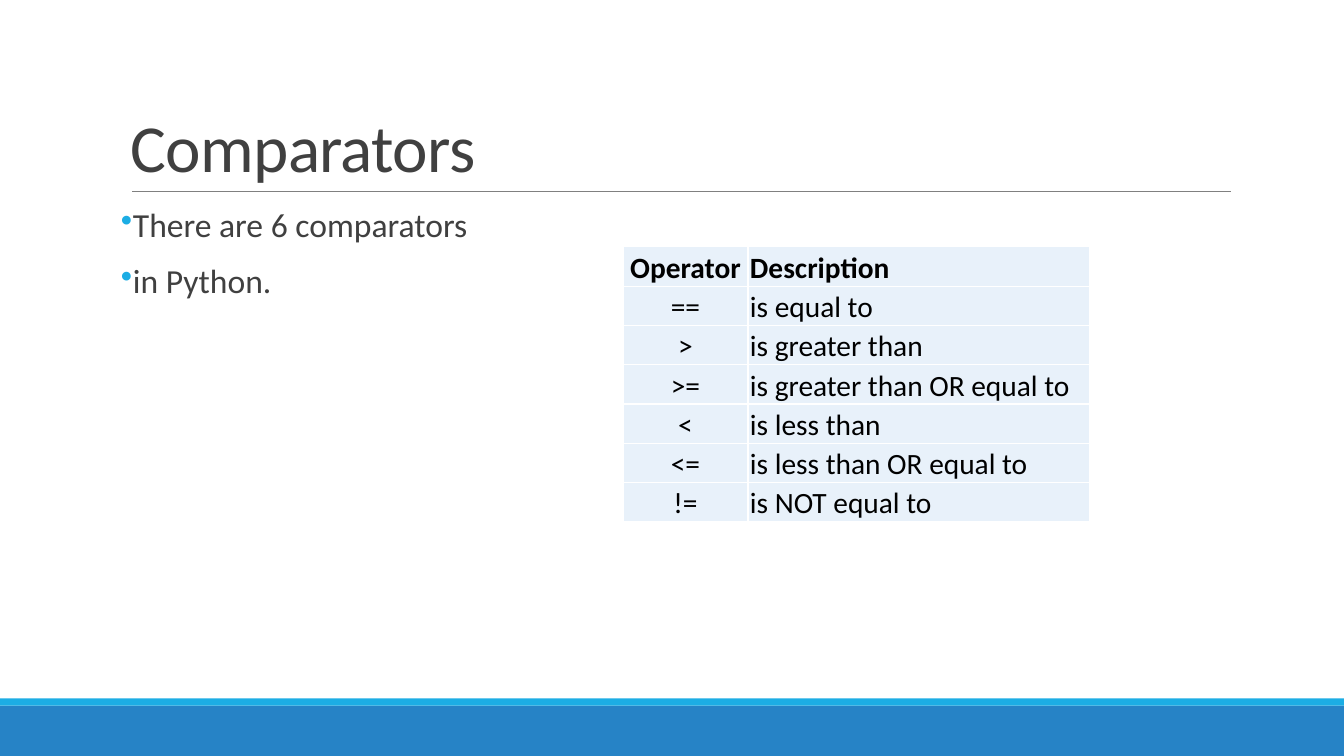
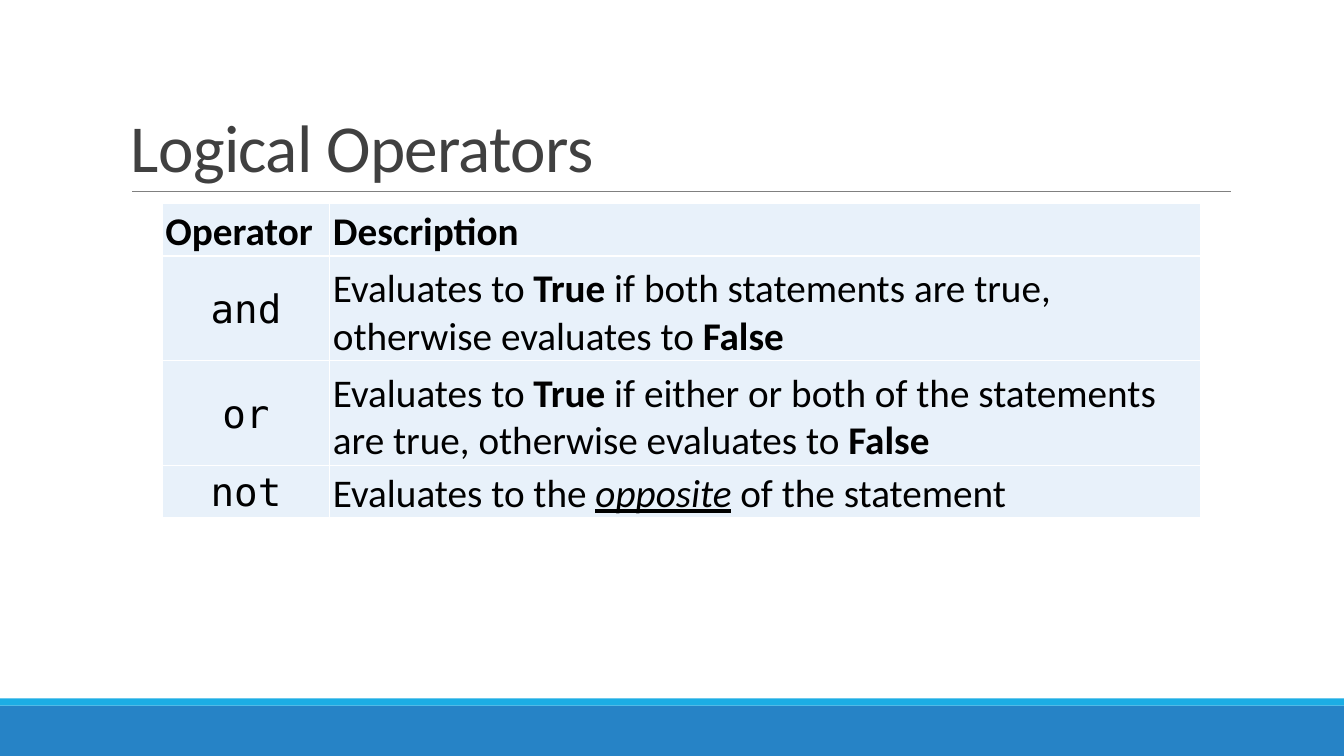
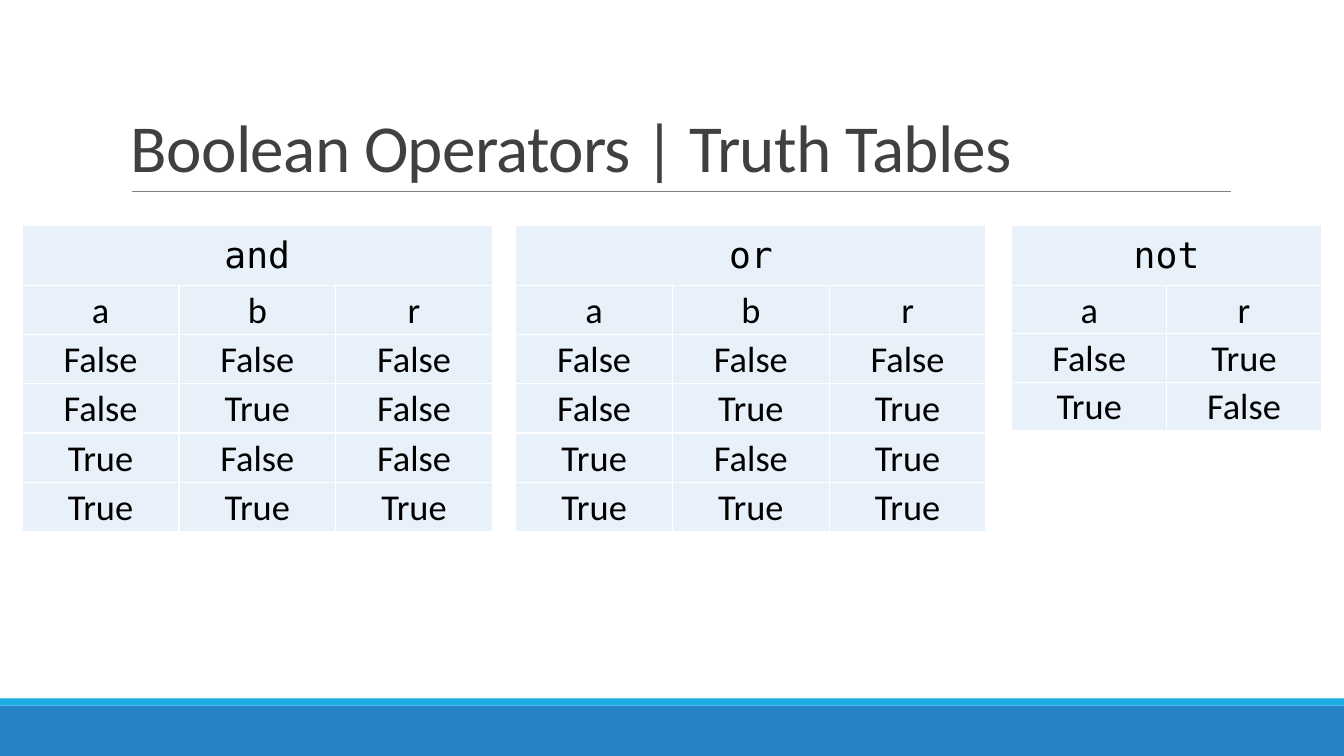
from itertools import product
from lxml.etree import SubElement
from pptx import Presentation
from pptx.dml.color import RGBColor
from pptx.enum.shapes import MSO_CONNECTOR, MSO_SHAPE
from pptx.enum.text import MSO_ANCHOR, PP_ALIGN
from pptx.oxml.ns import qn
from pptx.util import Cm, Pt

INK = {
    "base": "2683C6",
    "edge": "1CADE4",
    "rule": "808080",
    "text": "404040",
    "cell": "E8F1FA",
    "grid": "FFFFFF",
    "dark": "000000",
}
SANS, MONO = "Calibri", "DejaVu Sans Mono"
WIDE, HIGH = 33.87, 19.05
LEFT, SPAN = 3.05, 27.94


def tint(name):
    return RGBColor.from_string(INK[name])


def style(font, size, color, face=SANS, bold=False):
    font.size, font.name, font.bold = Pt(size), face, bold
    font.color.rgb = tint(color)


# Shared frame: bands, rule and title
def band(slide, top, high, color):
    bar = slide.shapes.add_shape(
        MSO_SHAPE.RECTANGLE, 0, Cm(top), Cm(WIDE), Cm(high))
    bar.shadow.inherit = False
    bar.fill.solid()
    bar.fill.fore_color.rgb = tint(color)
    bar.line.fill.background()


def rule(slide, start, end, y):
    line = slide.shapes.add_connector(
        MSO_CONNECTOR.STRAIGHT, Cm(start), Cm(y), Cm(end), Cm(y))
    line.line.color.rgb = tint("rule")
    line.line.width = Pt(0.5)
    SubElement(line._element.spPr, qn("a:effectLst"))


def box(slide, top, high):
    frame = slide.shapes.add_textbox(
        Cm(LEFT), Cm(top), Cm(SPAN), Cm(high)).text_frame
    frame.word_wrap = True
    return frame


def page(deck, title):
    slide = deck.slides.add_slide(deck.slide_layouts[6])
    band(slide, 17.78, 1.27, "base")
    band(slide, 17.6, 0.18, "edge")
    rule(slide, 3.33, 31.01, 4.83)
    frame = box(slide, 0.79, 4.04)
    frame.vertical_anchor = MSO_ANCHOR.BOTTOM
    para = frame.paragraphs[0]
    para.line_spacing = 0.85
    style(para.font, 48, "text")
    run = para.add_run()
    run.text = title
    run._r.get_or_add_rPr().set("spc", "-50")
    return slide


# Bullet list
def bullet(para):
    props = para._p.get_or_add_pPr()
    props.set("marL", str(Cm(0.25)))
    props.set("indent", str(Cm(-0.25)))
    color = SubElement(props, qn("a:buClr"))
    SubElement(color, qn("a:srgbClr"), val=INK["edge"])
    SubElement(props, qn("a:buChar"), char="•")


def points(slide, lines):
    frame = box(slide, 5.13, 11.18)
    frame.margin_left = frame.margin_right = 0
    for i, text in enumerate(lines):
        para = frame.add_paragraph() if i else frame.paragraphs[0]
        para.text = text
        para.line_spacing = 0.9
        para.space_before, para.space_after = Pt(12), Pt(2)
        bullet(para)
        style(para.font, 24, "text")


# Tables
def border(cell):
    props = cell._tc.get_or_add_tcPr()
    for side in ("lnL", "lnR", "lnT", "lnB"):
        line = SubElement(props, qn("a:" + side), w=str(Pt(1)))
        fill = SubElement(line, qn("a:solidFill"))
        SubElement(fill, qn("a:srgbClr"), val=INK["grid"])


def write(cell, parts, size, mid=False, center=False, mono=False,
          bold=False, pad=(0.05, 0.05, 0)):
    """Fill a cell; parts is a string or a list of (text, marks) runs."""
    side, top, foot = pad
    cell.margin_left = cell.margin_right = Cm(side)
    cell.margin_top, cell.margin_bottom = Cm(top), Cm(foot)
    cell.vertical_anchor = MSO_ANCHOR.MIDDLE if mid else MSO_ANCHOR.BOTTOM
    para = cell.text_frame.paragraphs[0]
    para.alignment = PP_ALIGN.CENTER if center else PP_ALIGN.LEFT
    style(para.font, size, "dark", MONO if mono else SANS, bold)
    for text, marks in [(parts, "")] if isinstance(parts, str) else parts:
        run = para.add_run()
        run.text = text
        if "b" in marks:
            run.font.bold = True
        if "i" in marks:
            run.font.italic = run.font.underline = True


def grid(slide, left, top, cols, rows, data, size, look):
    """Draw a table; look(row, col) gives the options of each cell."""
    table = slide.shapes.add_table(
        len(rows), len(cols), Cm(left), Cm(top),
        Cm(sum(cols)), Cm(sum(rows))).table
    table.first_row = table.horz_banding = False
    for col, wide in zip(table.columns, cols):
        col.width = Cm(wide)
    for row, high in zip(table.rows, rows):
        row.height = Cm(high)
    for r, c in product(range(len(rows)), range(len(cols))):
        cell = table.cell(r, c)
        border(cell)
        cell.fill.solid()
        cell.fill.fore_color.rgb = tint("cell")
        if c < len(data[r]):
            write(cell, data[r][c], size, **look(r, c))
    return table


def truth(slide, left, name, heads, data, wide, high):
    def look(r, c):
        head = {"mono": True, "pad": (0.38, 0.2, 0.2)} if r == 0 else {}
        return {"mid": True, "center": True, **head}

    rows = [[name], heads] + [[str(v) for v in row] for row in data]
    count = len(heads)
    table = grid(slide, left, 5.69, [wide] * count,
                 [1.45] + [high] * (len(rows) - 1), rows, 26, look)
    table.cell(0, 0).merge(table.cell(0, count - 1))


# Slides
def compare(deck):
    slide = page(deck, "Comparators")
    points(slide, ["There are 6 comparators", "in Python."])
    data = [
        ("Operator", "Description"),
        ("==", "is equal to"),
        (">", "is greater than"),
        (">=", "is greater than OR equal to"),
        ("<", "is less than"),
        ("<=", "is less than OR equal to"),
        ("!=", "is NOT equal to"),
    ]
    grid(slide, 15.7, 6.22, [3.15, 8.62], [0.99] * len(data), data, 21,
         lambda r, c: {"center": c == 0, "bold": r == 0})


def logic(deck):
    def look(r, c):
        key = r > 0 and c == 0
        return {"mid": key, "center": key, "mono": key, "bold": r == 0,
                "pad": (0.08, 0.08, 0)}

    def rule_of(case):
        return [("Evaluates to ", ""), ("True", "b"),
                (f" if {case} true, otherwise evaluates to ", ""),
                ("False", "b")]

    slide = page(deck, "Logical Operators")
    data = [
        ("Operator", "Description"),
        ("and", rule_of("both statements are")),
        ("or", rule_of("either or both of the statements are")),
        ("not", [("Evaluates to the ", ""), ("opposite", "i"),
                 (" of the statement", "")]),
    ]
    grid(slide, 4.09, 5.13, [4.22, 21.94], [1.32, 2.64, 2.64, 1.32],
         data, 28, look)


def tables(deck):
    slide = page(deck, "Boolean Operators | Truth Tables")
    bits = (False, True)
    pairs = list(product(bits, bits))
    truth(slide, 0.56, "and", "abr",
          [(a, b, a and b) for a, b in pairs], 3.95, 1.24)
    truth(slide, 13, "or", "abr",
          [(a, b, a or b) for a, b in pairs], 3.95, 1.24)
    truth(slide, 25.5, "not", "ar", [(a, not a) for a in bits], 3.9, 1.22)


def main():
    deck = Presentation()
    deck.slide_width, deck.slide_height = Cm(WIDE), Cm(HIGH)
    compare(deck)
    logic(deck)
    tables(deck)
    deck.save("out.pptx")


main()
